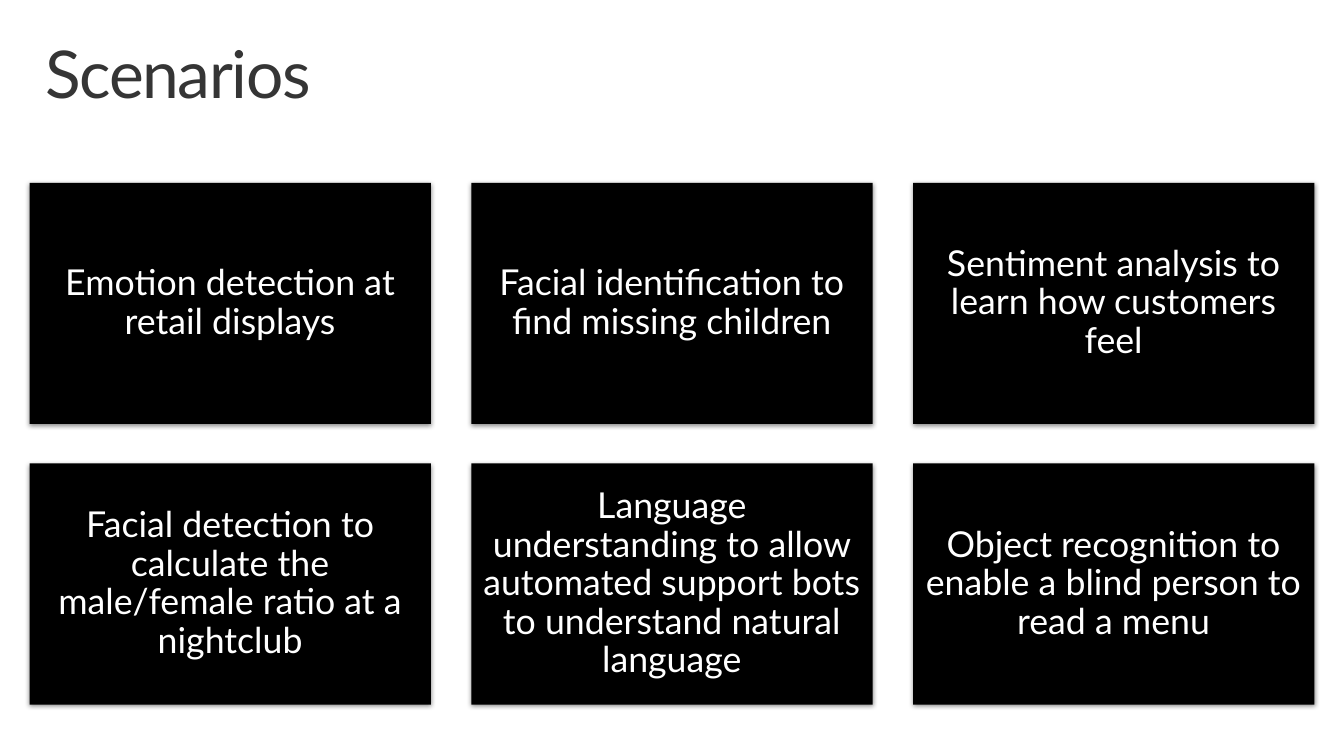
from dataclasses import dataclass

from lxml import etree
from pptx import Presentation
from pptx import util as u
from pptx.dml.color import RGBColor
from pptx.enum import shapes, text
from pptx.oxml import ns

SCALE = 9144  # EMU per px, 100 px to the inch
FACE = "Lato"
COLS = 3
LEFT, TOP = 30, 185
WIDE, HIGH = 406, 244
STEP_X, STEP_Y = 447, 284


@dataclass
class Card:
    words: str
    left: int
    top: int


SCENES = [
    "Emotion detection at retail displays",
    "Facial identification to find missing children",
    "Sentiment analysis to learn how customers feel",
    "Facial detection to calculate the male/female ratio at a nightclub",
    "Language understanding to allow automated support bots to understand natural language",
    "Object recognition to enable a blind person to read a menu",
]


def px(n: int) -> int:
    return u.Emu(n * SCALE)


def tint(code: str) -> RGBColor:
    return RGBColor.from_string(code)


def apply(target, **values) -> None:
    for name, value in values.items():
        setattr(target, name, value)


def write(shape, words: str, size: int, code: str, align, anchor, side: int, edge: int) -> None:
    frame = shape.text_frame
    frame.text = words
    apply(frame, word_wrap=True, auto_size=text.MSO_AUTO_SIZE.NONE,
          vertical_anchor=anchor, margin_left=px(side), margin_right=px(side),
          margin_top=px(edge), margin_bottom=px(edge))
    para = frame.paragraphs[0]
    apply(para, alignment=align, line_spacing=0.9, space_before=u.Pt(0))
    font = para.runs[0].font
    apply(font, name=FACE, size=u.Pt(size))
    font.color.rgb = tint(code)


def shade(shape) -> None:
    shape.shadow.inherit = False
    effects = shape._element.spPr.find(ns.qn("a:effectLst"))
    outer = etree.SubElement(effects, ns.qn("a:outerShdw"), blurRad=str(u.Pt(3.5)),
                             dist=str(u.Pt(1.1)), dir="5400000", rotWithShape="0")
    black = etree.SubElement(outer, ns.qn("a:srgbClr"), val="000000")
    etree.SubElement(black, ns.qn("a:alpha"), val="45000")


def draw(slide, card: Card) -> None:
    box = slide.shapes.add_shape(shapes.MSO_SHAPE.RECTANGLE, px(card.left),
                                 px(card.top), px(WIDE), px(HIGH))
    box.fill.solid()
    box.fill.fore_color.rgb = tint("000000")
    box.line.fill.background()
    shade(box)
    write(box, card.words, 26, "FFFFFF", text.PP_ALIGN.CENTER,
          text.MSO_ANCHOR.MIDDLE, 11, 11)


def main() -> None:
    deck = Presentation()
    apply(deck, slide_width=px(1360), slide_height=px(765))
    slide = deck.slides.add_slide(deck.slide_layouts[5])

    # Title
    title = slide.shapes.title
    apply(title, left=px(30), top=px(32), width=px(1300), height=px(100))
    write(title, "Scenarios", 48, "353535", text.PP_ALIGN.LEFT,
          text.MSO_ANCHOR.TOP, 16, 10)
    run = title.text_frame.paragraphs[0].runs[0]
    run.font._element.set("spc", "-100")

    # Scenario cards, row by row
    for i, words in enumerate(SCENES):
        row, col = divmod(i, COLS)
        draw(slide, Card(words, LEFT + col * STEP_X, TOP + row * STEP_Y))

    deck.save("out.pptx")


if __name__ == "__main__":
    main()
